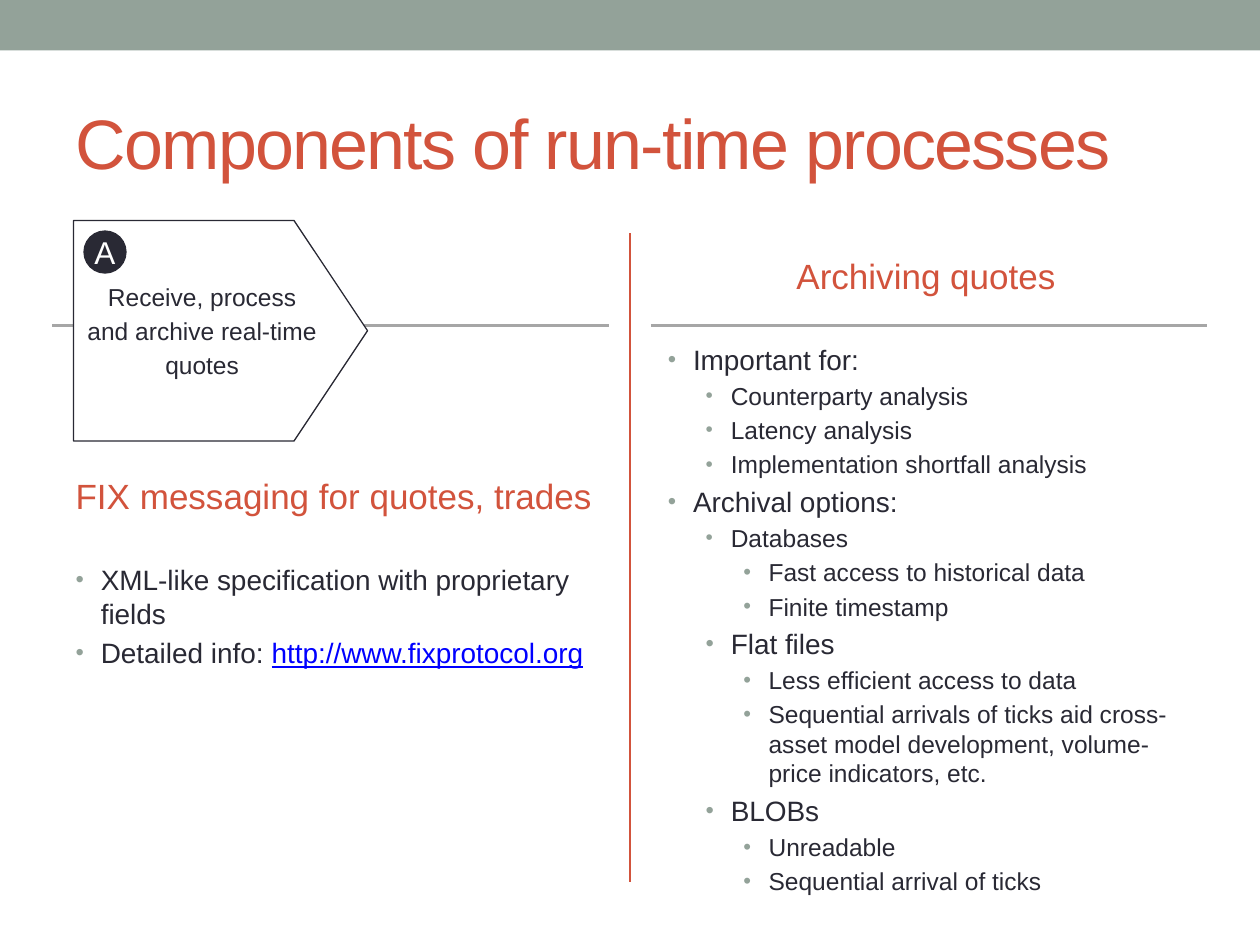
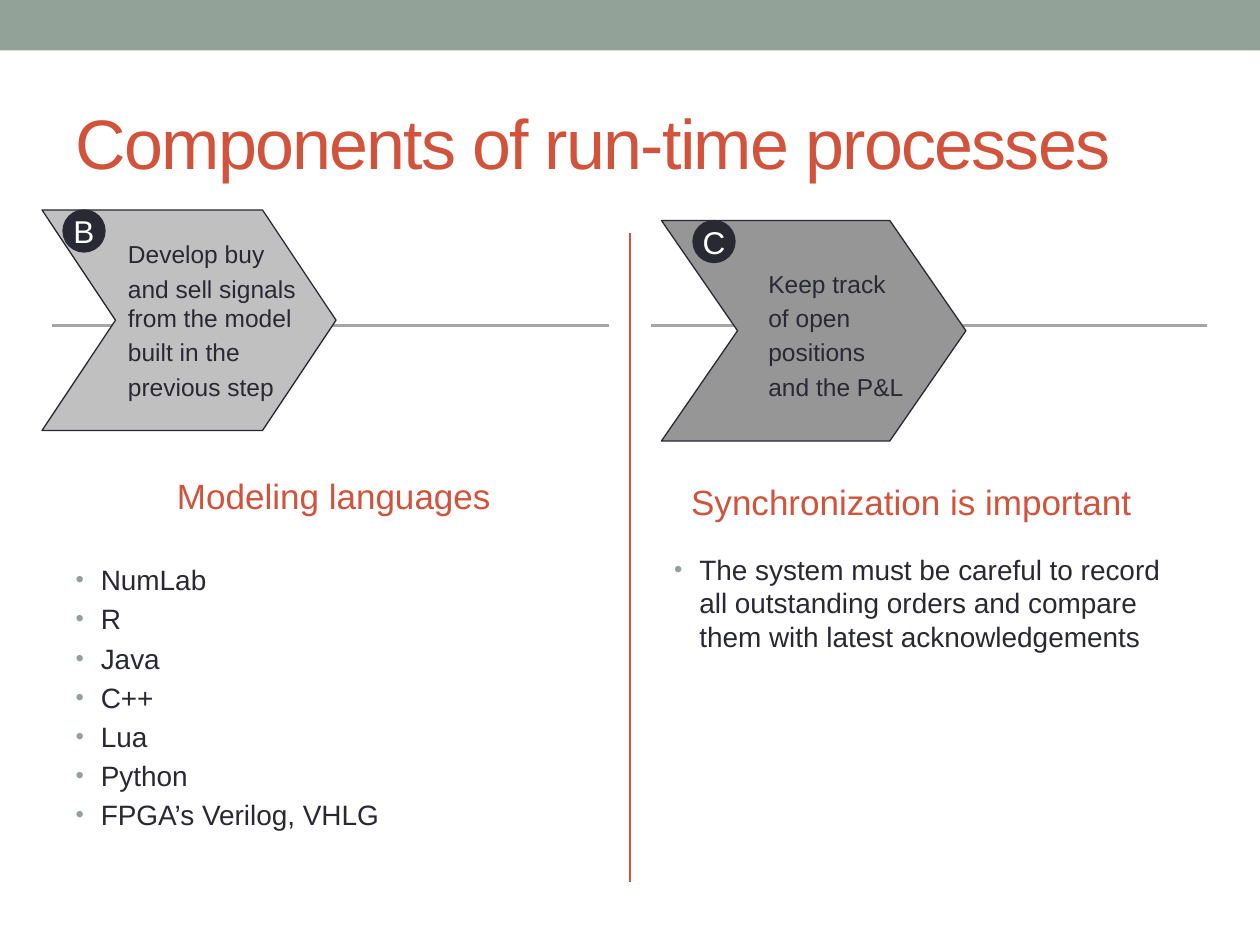
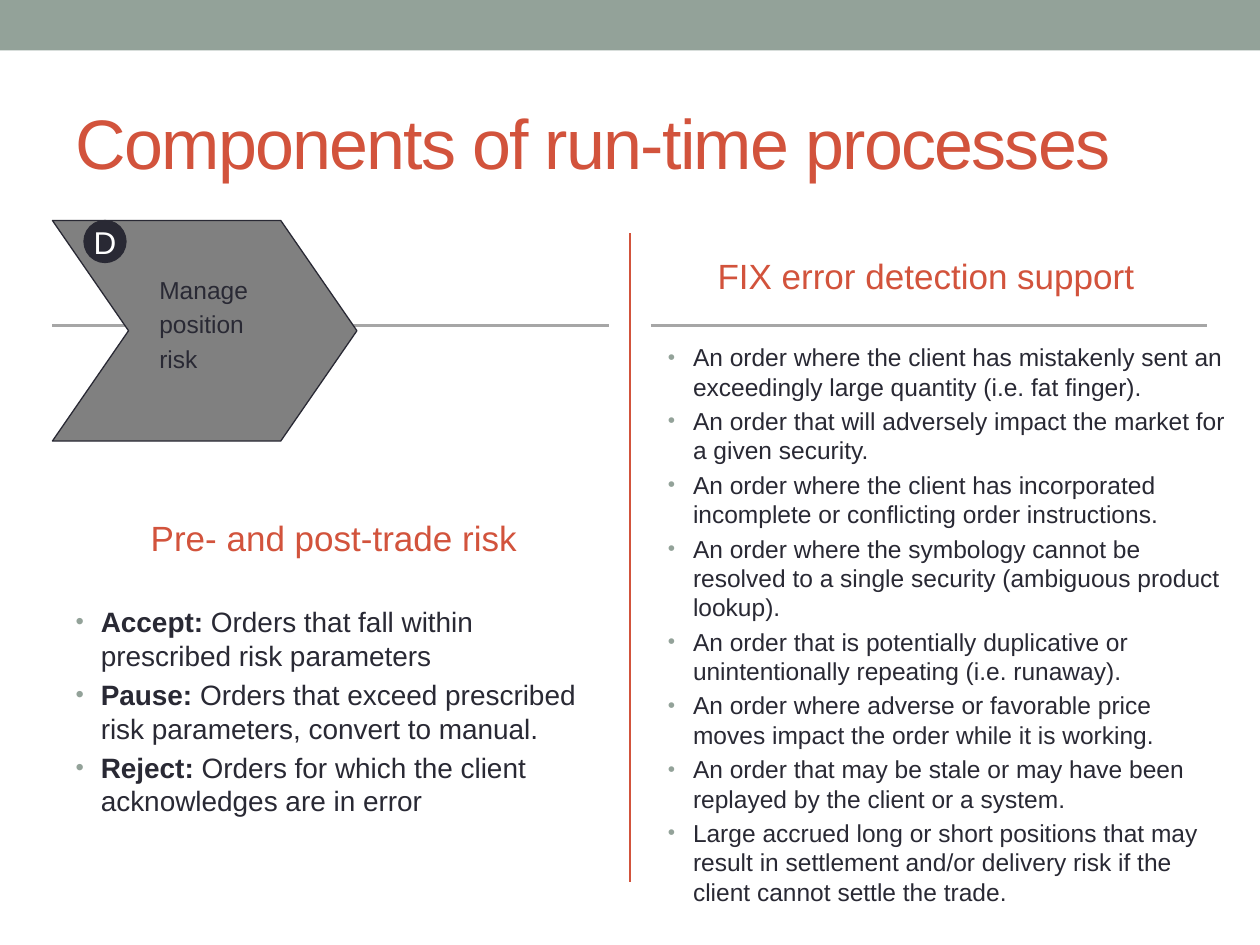
from dataclasses import dataclass

from lxml import etree
from pptx import Presentation
from pptx.dml.color import RGBColor
from pptx.enum.shapes import MSO_CONNECTOR, MSO_SHAPE
from pptx.enum.text import MSO_ANCHOR, MSO_AUTO_SIZE, PP_ALIGN
from pptx.oxml.ns import qn
from pptx.util import Pt

RECT, OVAL = MSO_SHAPE.RECTANGLE, MSO_SHAPE.OVAL
PENTAGON, CHEVRON = MSO_SHAPE.PENTAGON, MSO_SHAPE.CHEVRON
STRAIGHT = MSO_CONNECTOR.STRAIGHT
TOP, MIDDLE = MSO_ANCHOR.TOP, MSO_ANCHOR.MIDDLE
LEFT, CENTER = PP_ALIGN.LEFT, PP_ALIGN.CENTER
NO_FIT, GROW = MSO_AUTO_SIZE.NONE, MSO_AUTO_SIZE.SHAPE_TO_FIT_TEXT

COMPARISON_LAYOUT = 4
LEFT_HEAD, LEFT_LIST, RIGHT_HEAD, RIGHT_LIST = 1, 2, 3, 4
TITLE = "Components of run-time processes"


@dataclass(frozen=True)
class Theme:
    font: str = "Arial"
    band: str = "93A299"
    accent: str = "D2533C"
    ink: str = "292934"
    rule: str = "A6A6A6"
    link: str = "0000FF"
    white: str = "FFFFFF"
    steps: tuple = ("FFFFFF", "C0C0C0", "969696", "808080")
    title_size: float = 40
    head_size: float = 20
    badge_size: float = 18
    list_size: float = 16
    small_size: float = 14
    rule_width: float = 1.5
    outline_width: float = 0.75
    para_gap: float = 0.2
    column_width: float = 309.6
    head_height: float = 50.4


@dataclass(frozen=True)
class Item:
    """A list entry: an optional bold lead, the text, an optional link-styled tail."""
    text: str
    level: int = 0
    size: float = Theme.list_size
    lead: str = ""
    tail: str = ""


def small(text, level=0):
    return Item(text, level, Theme.small_size)


def rgb(code):
    return RGBColor.from_string(code)


class Deck:
    def __init__(self, theme):
        self.theme = theme
        self.prs = Presentation()
        self.prs.slide_width, self.prs.slide_height = Pt(720), Pt(540)
        self.s = None

    def new_slide(self, title):
        t = self.theme
        self.s = self.prs.slides.add_slide(self.prs.slide_layouts[COMPARISON_LAYOUT])
        self.shape(RECT, (0, 0, 720, 28.8), t.band)
        self.line((360, 133.2), (360, 504), t.accent)
        for x in (30, 372):
            self.line((x, 186), (x + 318, 186), t.rule)
        tf = self.placeholder(0, (36, 42, 648, 78), MIDDLE)
        tf.text = title
        p = tf.paragraphs[0]
        self.style(p, t.title_size, t.accent, LEFT)
        p.runs[0].font._element.set("spc", "-100")

    def placeholder(self, idx, box, anchor):
        sp = self.s.placeholders[idx]
        sp.left, sp.top, sp.width, sp.height = map(Pt, box)
        tf = sp.text_frame
        tf.auto_size, tf.word_wrap, tf.vertical_anchor = NO_FIT, True, anchor
        return tf

    def style(self, p, size, color, align=LEFT, gap=0):
        p.alignment = align
        p.space_before = Pt(round(size * gap, 2))
        for r in p.runs:
            f = r.font
            f.name, f.size, f.bold = self.theme.font, Pt(size), False
            f.color.rgb = rgb(color)

    def heading(self, idx, x, y, text):
        t = self.theme
        tf = self.placeholder(idx, (x, y, t.column_width, t.head_height), MIDDLE)
        tf.text = text
        self.style(tf.paragraphs[0], t.head_size, t.accent, CENTER, t.para_gap)

    def bullet_list(self, idx, box, items):
        t = self.theme
        tf = self.placeholder(idx, box, TOP)
        for i, item in enumerate(items):
            p = tf.add_paragraph() if i else tf.paragraphs[0]
            p.text = item.lead or item.text
            for extra in (item.text if item.lead else "", item.tail):
                if extra:
                    p.add_run().text = extra
            p.level = item.level
            self.style(p, item.size, t.ink, LEFT, t.para_gap)
            p.runs[0].font.bold = bool(item.lead)
            if item.tail:
                f = p.runs[-1].font
                f.underline, f.color.rgb = True, rgb(t.link)
            self.bullet(p)

    def bullet(self, p):
        pPr = p._p.get_or_add_pPr()
        pPr.set("marL", str(Pt(14.4 + 21.6 * p.level)))
        pPr.set("indent", str(Pt(-14.4)))
        clr = etree.SubElement(pPr, qn("a:buClr"))
        etree.SubElement(clr, qn("a:srgbClr"), val=self.theme.band)
        pct = 90000 if p.level == 2 else 85000
        etree.SubElement(pPr, qn("a:buSzPct"), val=str(pct))
        etree.SubElement(pPr, qn("a:buFont"), typeface=self.theme.font)
        etree.SubElement(pPr, qn("a:buChar"), char="•")

    def line(self, start, end, color):
        c = self.s.shapes.add_connector(STRAIGHT, *map(Pt, start + end))
        c.line.color.rgb, c.line.width = rgb(color), Pt(self.theme.rule_width)
        etree.SubElement(c._element.spPr, qn("a:effectLst"))

    def shape(self, kind, box, fill, outline=None):
        sp = self.s.shapes.add_shape(kind, *map(Pt, box))
        sp.shadow.inherit = False
        sp.fill.solid()
        sp.fill.fore_color.rgb = rgb(fill)
        if outline:
            sp.line.color.rgb = rgb(outline)
            sp.line.width = Pt(self.theme.outline_width)
        else:
            sp.line.fill.background()
        return sp

    def step(self, kind, box, fill, point):
        """Draw a process arrow whose tip is `point` points long."""
        sp = self.shape(kind, box, fill, self.theme.ink)
        sp.adjustments[0] = point / min(box[2:])
        return sp

    def label(self, tf, lines, align=LEFT):
        t = self.theme
        tf.word_wrap = True
        tf.text = "\n".join(lines)
        for p in tf.paragraphs:
            self.style(p, t.small_size, t.ink, align, t.para_gap)

    def text_box(self, box, lines):
        tf = self.s.shapes.add_textbox(*map(Pt, box)).text_frame
        self.label(tf, lines)
        tf.auto_size = GROW

    def badge(self, x, y, letter):
        t = self.theme
        tf = self.shape(OVAL, (x, y, 24, 24), t.ink, t.ink).text_frame
        tf.word_wrap, tf.vertical_anchor = False, MIDDLE
        tf.text = letter
        self.style(tf.paragraphs[0], t.badge_size, t.white, CENTER)


def receive_quotes(d):
    d.new_slide(TITLE)
    d.heading(LEFT_HEAD, 36, 258, "FIX messaging for quotes, trades")
    d.bullet_list(LEFT_LIST, (36, 318, d.theme.column_width, 185), [
        Item("XML-like specification with proprietary fields"),
        Item("Detailed info: ", tail="http://www.fixprotocol.org"),
    ])
    d.heading(RIGHT_HEAD, 374.4, 132, "Archiving quotes")
    d.bullet_list(RIGHT_LIST, (374.4, 192, d.theme.column_width, 311), [
        Item("Important for:"),
        small("Counterparty analysis", 1),
        small("Latency analysis", 1),
        small("Implementation shortfall analysis", 1),
        Item("Archival options:"),
        small("Databases", 1),
        small("Fast access to historical data", 2),
        small("Finite timestamp", 2),
        Item("Flat files", 1),
        small("Less efficient access to data", 2),
        small("Sequential arrivals of ticks aid cross-asset model development, "
              "volume-price indicators, etc.", 2),
        Item("BLOBs", 1),
        small("Unreadable", 2),
        small("Sequential arrival of ticks", 2),
    ])
    sp = d.step(PENTAGON, (42, 126, 168, 126), d.theme.steps[0], 42)
    sp.text_frame.vertical_anchor = MIDDLE
    d.label(sp.text_frame,
            ["Receive, process", "and archive real-time", "quotes"], CENTER)
    d.badge(48, 132, "A")


def signals_and_positions(d):
    d.new_slide(TITLE)
    d.heading(LEFT_HEAD, 36, 258, "Modeling languages")
    languages = ["NumLab", "R", "Java", "C++", "Lua", "Python", "FPGA’s Verilog, VHLG"]
    d.bullet_list(LEFT_LIST, (36, 318, d.theme.column_width, 185),
                  [Item(name) for name in languages])
    d.heading(RIGHT_HEAD, 366, 261.6, "Synchronization is important")
    d.bullet_list(RIGHT_LIST, (378, 312, d.theme.column_width, 185), [
        Item("The system must be careful to record all outstanding orders "
             "and compare them with latest acknowledgements"),
    ])
    d.step(CHEVRON, (24, 120, 168, 126), d.theme.steps[1], 42)
    d.text_box((66, 133.2, 120, 100.8),
               ["Develop buy", "and sell signals from the model",
                "built in the", "previous step"])
    d.badge(36, 120, "B")
    d.step(CHEVRON, (378, 126, 174, 126), d.theme.steps[2], 43.5)
    d.text_box((432, 150, 102, 84),
               ["Keep track", "of open", "positions", "and the P&L"])
    d.badge(396, 126, "C")


def position_risk(d):
    d.new_slide(TITLE)
    d.heading(LEFT_HEAD, 36, 282, "Pre- and post-trade risk")
    d.bullet_list(LEFT_LIST, (36, 342, d.theme.column_width, 161), [
        Item("Orders that fall within prescribed risk parameters", lead="Accept: "),
        Item("Orders that exceed prescribed risk parameters, convert to manual.",
             lead="Pause: "),
        Item("Orders for which the client acknowledges are in error", lead="Reject: "),
    ])
    d.heading(RIGHT_HEAD, 374.4, 132, "FIX error detection support")
    errors = [
        "An order where the client has mistakenly sent an exceedingly large "
        "quantity (i.e. fat finger).",
        "An order that will adversely impact the market for a given security.",
        "An order where the client has incorporated incomplete or conflicting "
        "order instructions.",
        "An order where the symbology cannot be resolved to a single security "
        "(ambiguous product lookup).",
        "An order that is potentially duplicative or unintentionally repeating "
        "(i.e. runaway).",
        "An order where adverse or favorable price moves impact the order while "
        "it is working.",
        "An order that may be stale or may have been replayed by the client or "
        "a system.",
        "Large accrued long or short positions that may result in settlement "
        "and/or delivery risk if the client cannot settle the trade.",
    ]
    d.bullet_list(RIGHT_LIST, (374.4, 192, 333.6, 311), [small(e) for e in errors])
    d.step(CHEVRON, (30, 126, 174, 126), d.theme.steps[3], 43.5)
    d.text_box((84, 153.6, 78, 64), ["Manage", "position", "risk"])
    d.badge(48, 126, "D")


def main():
    d = Deck(Theme())
    for build in (receive_quotes, signals_and_positions, position_risk):
        build(d)
    d.prs.save("out.pptx")


if __name__ == "__main__":
    main()
